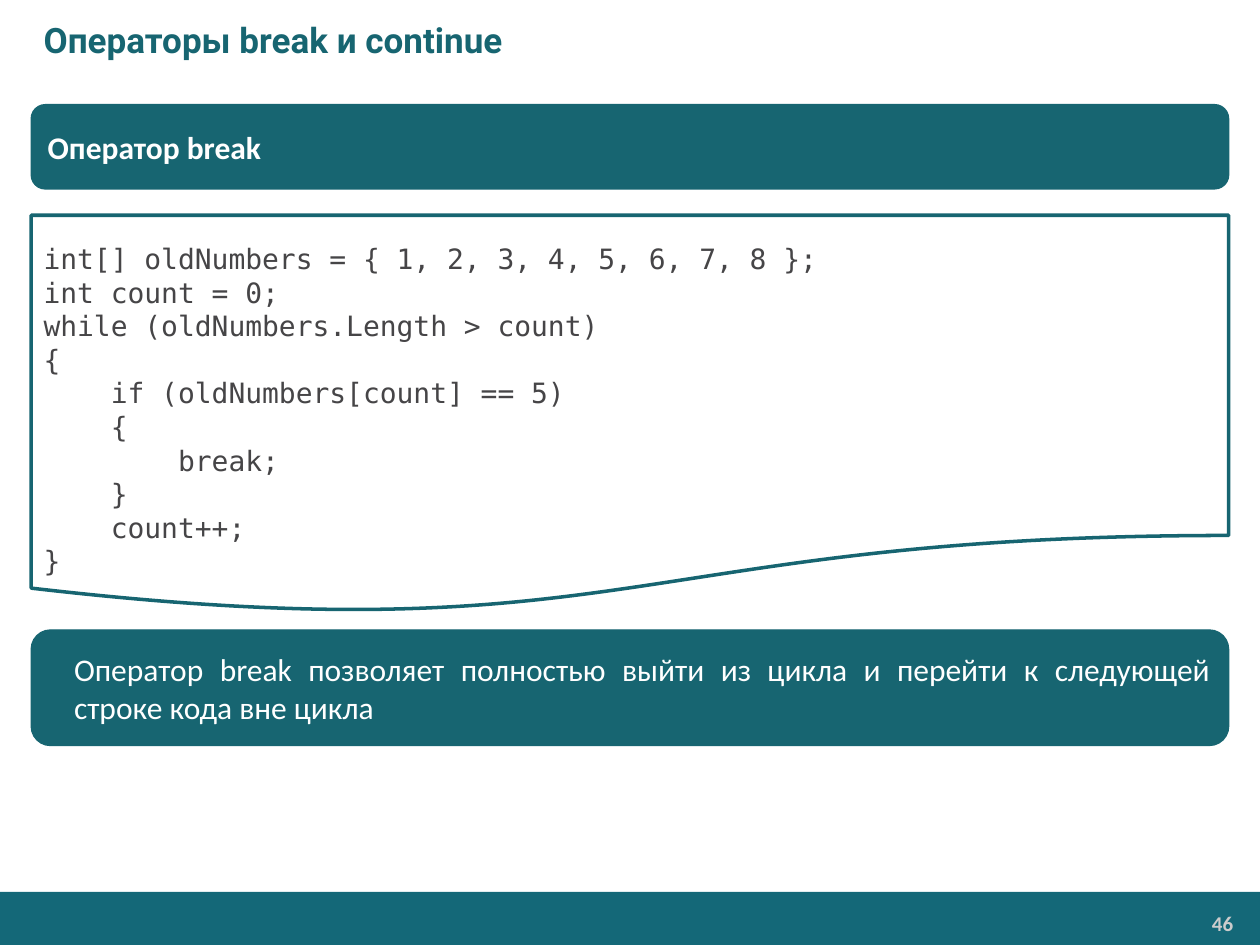
from dataclasses import dataclass

import pptx
import pptx.dml.color
import pptx.enum.shapes
import pptx.enum.text
import pptx.util

Cm, Pt = pptx.util.Cm, pptx.util.Pt
RGB = pptx.dml.color.RGBColor.from_string
SHAPES = pptx.enum.shapes.MSO_SHAPE
ALIGN = pptx.enum.text.PP_ALIGN
ANCHOR = pptx.enum.text.MSO_ANCHOR


@dataclass(frozen=True)
class Theme:
    teal: str = "176571"
    footer: str = "146878"
    white: str = "FFFFFF"
    code: str = "464547"
    number: str = "CCCCCC"
    title_size: float = 20
    body_size: float = 18
    code_size: float = 16
    code_spacing: float = 19.2
    number_size: float = 12
    title_font: str = "Roboto"
    body_font: str = "Calibri"
    code_font: str = "DejaVu Sans Mono"


theme = Theme()


def add_panel(kind, left, top, width, height, fill, line=None, line_width=0.75):
    panel = page.shapes.add_shape(kind, Cm(left), Cm(top), Cm(width), Cm(height))
    panel.shadow.inherit = False
    panel.fill.solid()
    panel.fill.fore_color.rgb = RGB(fill)
    if line:
        panel.line.color.rgb = RGB(line)
        panel.line.width = Pt(line_width)
    else:
        panel.line.fill.background()
    return panel


def write(box, text, font, size, color, bold=False, align=ALIGN.LEFT, indent=0):
    """Fill a box with text, one paragraph per line, in a single style."""
    frame = box.text_frame
    frame.word_wrap = True
    frame.vertical_anchor = ANCHOR.MIDDLE
    frame.text = text
    for para in frame.paragraphs:
        para.alignment = align
        if indent:
            para._p.get_or_add_pPr().set("marL", str(Cm(indent)))
        for span in para.runs:
            span.font.name = font
            span.font.size = Pt(size)
            span.font.bold = bold
            span.font.color.rgb = RGB(color)
    return frame


deck = pptx.Presentation()
deck.slide_width, deck.slide_height = Cm(25.4), Cm(19.05)
page = deck.slides.add_slide(deck.slide_layouts[6])

margin = 0.63
panel_width = 25.4 - 2 * margin

# Footer with the page number
add_panel(SHAPES.RECTANGLE, 0, 17.98, 25.4, 1.07, theme.footer)
number = page.shapes.add_textbox(Cm(20.9), Cm(18.26), Cm(4.14), Cm(0.71))
frame = write(number, "46", theme.body_font, theme.number_size, theme.number,
              bold=True, align=ALIGN.RIGHT)
frame.margin_left = frame.margin_right = Cm(0.18)
frame.margin_top = frame.margin_bottom = Cm(0.1)

title = page.shapes.add_textbox(0, 0, Cm(25.4), Cm(1.6))
write(title, "Операторы break и continue", theme.title_font, theme.title_size,
      theme.teal, bold=True, indent=margin)

# Code listing
listing = """int[] oldNumbers = { 1, 2, 3, 4, 5, 6, 7, 8 };
int count = 0;
while (oldNumbers.Length > count)
{
    if (oldNumbers[count] == 5)
    {
        break;
    }
    count++;
}"""
code = add_panel(SHAPES.FLOWCHART_DOCUMENT, margin, 4.34, panel_width, 8.05,
                 theme.white, theme.teal, 2)
frame = write(code, listing, theme.code_font, theme.code_size, theme.code)
frame.vertical_anchor = ANCHOR.TOP
frame.margin_top = Cm(0.53)
for para in frame.paragraphs:
    para.line_spacing = Pt(theme.code_spacing)

# Heading and explanation
heading = add_panel(SHAPES.ROUNDED_RECTANGLE, margin, 2.11, panel_width, 1.7,
                    theme.teal, theme.teal)
write(heading, "Оператор break", theme.body_font, theme.body_size, theme.white, bold=True)

explanation = add_panel(SHAPES.ROUNDED_RECTANGLE, margin, 12.7, panel_width, 2.33,
                        theme.teal, theme.teal)
write(explanation,
      "Оператор break позволяет полностью выйти из цикла и перейти "
      "к следующей строке кода вне цикла",
      theme.body_font, theme.body_size, theme.white, align=ALIGN.JUSTIFY, indent=0.5)

deck.save("out.pptx")
